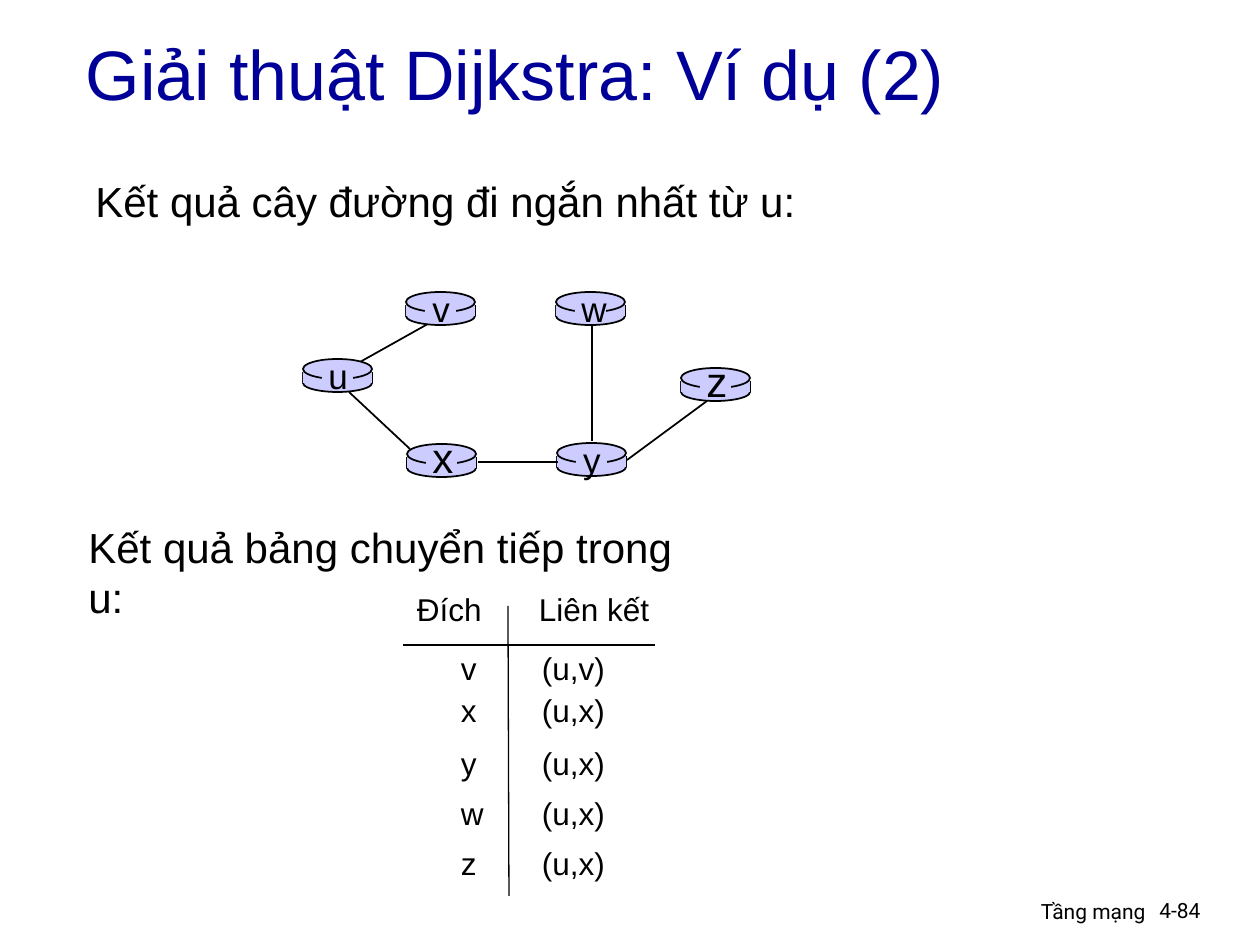
"""Builds the Dijkstra example slide: shortest-path tree and forwarding table."""
from lxml import etree
from pptx import Presentation
from pptx import util as u
from pptx.dml.color import RGBColor
from pptx.enum import shapes, text
from pptx.oxml.ns import qn

BLACK = RGBColor(0x00, 0x00, 0x00)
NAVY = RGBColor(0x00, 0x00, 0x99)
LILAC = RGBColor(0xCC, 0xCC, 0xFF)
PX_PER_INCH = 126


def px(*lengths):
    return [u.Emu(round(length * u.Inches(1) / PX_PER_INCH)) for length in lengths]


class SlideBuilder:
    """Holds the slide and its style, and adds each kind of element."""

    def __init__(self, slide, font="Arial", small_font="Roboto"):
        self.slide = slide
        self.font = font
        self.small_font = small_font

    def format(self, paragraph, size, align=text.PP_ALIGN.LEFT, color=BLACK, font=None):
        paragraph.alignment = align
        for run in paragraph.runs:
            run.font.size = u.Pt(size)
            run.font.name = font or self.font
            run.font.color.rgb = color

    def title(self, words, box):
        title = self.slide.shapes.title
        title.left, title.top, title.width, title.height = px(*box)
        title.text_frame.text = words
        title.text_frame.vertical_anchor = text.MSO_ANCHOR.MIDDLE
        self.format(title.text_frame.paragraphs[0], 40, color=NAVY)

    def label(self, words, box, size, align=text.PP_ALIGN.LEFT, wrap=False, font=None):
        frame = self.slide.shapes.add_textbox(*px(*box)).text_frame
        frame.word_wrap = wrap
        frame.text = words
        self.format(frame.paragraphs[0], size, align, font=font)

    def footer(self, words, box, align=text.PP_ALIGN.LEFT):
        self.label(words, box, 12, align, wrap=True, font=self.small_font)

    def line(self, start, end, width=1):
        line = self.slide.shapes.add_connector(
            shapes.MSO_CONNECTOR.STRAIGHT, *px(*start, *end))
        line.line.color.rgb = BLACK
        line.line.width = u.Pt(width)
        etree.SubElement(line._element.spPr, qn("a:effectLst"))

    def solid(self, kind, box, outlined=False):
        solid = self.slide.shapes.add_shape(kind, *px(*box))
        solid.shadow.inherit = False
        solid.fill.solid()
        solid.fill.fore_color.rgb = LILAC
        if outlined:
            solid.line.color.rgb = BLACK
            solid.line.width = u.Pt(1)
        else:
            solid.line.fill.background()

    def router(self, x, y):
        ellipse, rectangle = shapes.MSO_SHAPE.OVAL, shapes.MSO_SHAPE.RECTANGLE
        self.solid(ellipse, (x, y + 15, 69, 18), outlined=True)
        for side in (x, x + 69):
            self.line((side, y + 13), (side, y + 24))
        self.solid(rectangle, (x, y + 13, 69, 11))
        self.solid(ellipse, (x, y, 69, 20), outlined=True)

    def router_name(self, name, x, y, size):
        self.solid(shapes.MSO_SHAPE.RECTANGLE, (x + 19, y + 2, 31, 29))
        top, height = (y - 11, 55) if size == 20 else (y - 19, 63)
        self.label(name, (x + 13, top, 44, height), size, text.PP_ALIGN.CENTER)

    def table(self, rows, corner, widths, heights, header_indents, indents):
        table = self.slide.shapes.add_table(
            len(rows), len(widths), *px(*corner, sum(widths), sum(heights))).table
        table.first_row = table.horz_banding = False
        for column, width in zip(table.columns, px(*widths)):
            column.width = width
        for row, height in zip(table.rows, px(*heights)):
            row.height = height
        for r, row in enumerate(rows):
            for c, words in enumerate(row):
                cell = table.cell(r, c)
                cell.fill.background()
                cell.margin_top = cell.margin_bottom = cell.margin_right = 0
                cell.margin_left = px((indents if r else header_indents)[c])[0]
                cell.text_frame.text = words
                self.format(cell.text_frame.paragraphs[0], 18)


def main():
    deck = Presentation()
    deck.slide_width, deck.slide_height = u.Inches(10), u.Inches(7.5)
    page = SlideBuilder(deck.slides.add_slide(deck.slide_layouts[5]))

    page.title("Giải thuật Dijkstra: Ví dụ (2)", (73, 21, 1071, 103))
    page.label("Kết quả cây đường đi ngắn nhất từ u:", (83, 169, 726, 63), 24)

    routers = {
        "u": (303, 359, 20),
        "x": (407, 444, 24),
        "v": (406, 292, 20),
        "w": (556, 292, 20),
        "y": (557, 443, 20),
        "z": (681, 368, 24),
    }
    page.line((360, 362), (435, 320))
    for x, y, size in routers.values():
        page.router(x, y)
    for start, end in [
        ((592, 326), (592, 441)),
        ((627, 460), (707, 401)),
        ((558, 462), (478, 462)),
        ((410, 449), (349, 392)),
    ]:
        page.line(start, end)
    for name, (x, y, size) in routers.items():
        page.router_name(name, x, y, size)

    page.label("Kết quả bảng chuyển tiếp trong u:", (76, 515, 655, 63), 24)
    links = [
        ("Đích", "Liên kết"),
        ("v", "(u,v)"),
        ("x", "(u,x)"),
        ("y", "(u,x)"),
        ("w", "(u,x)"),
        ("z", "(u,x)"),
    ]
    page.table(links, (403, 593), (105, 147), (59, 42, 53, 50, 50, 50),
               header_indents=(14, 31), indents=(58, 34))
    page.line((508, 606), (509, 896), 0.75)
    page.line((403, 645), (655, 645), 0.75)

    page.footer("Tầng mạng", (759, 892, 399, 39), text.PP_ALIGN.RIGHT)
    page.footer("4-84", (1147, 891, 93, 38))
    deck.save("out.pptx")


if __name__ == "__main__":
    main()
